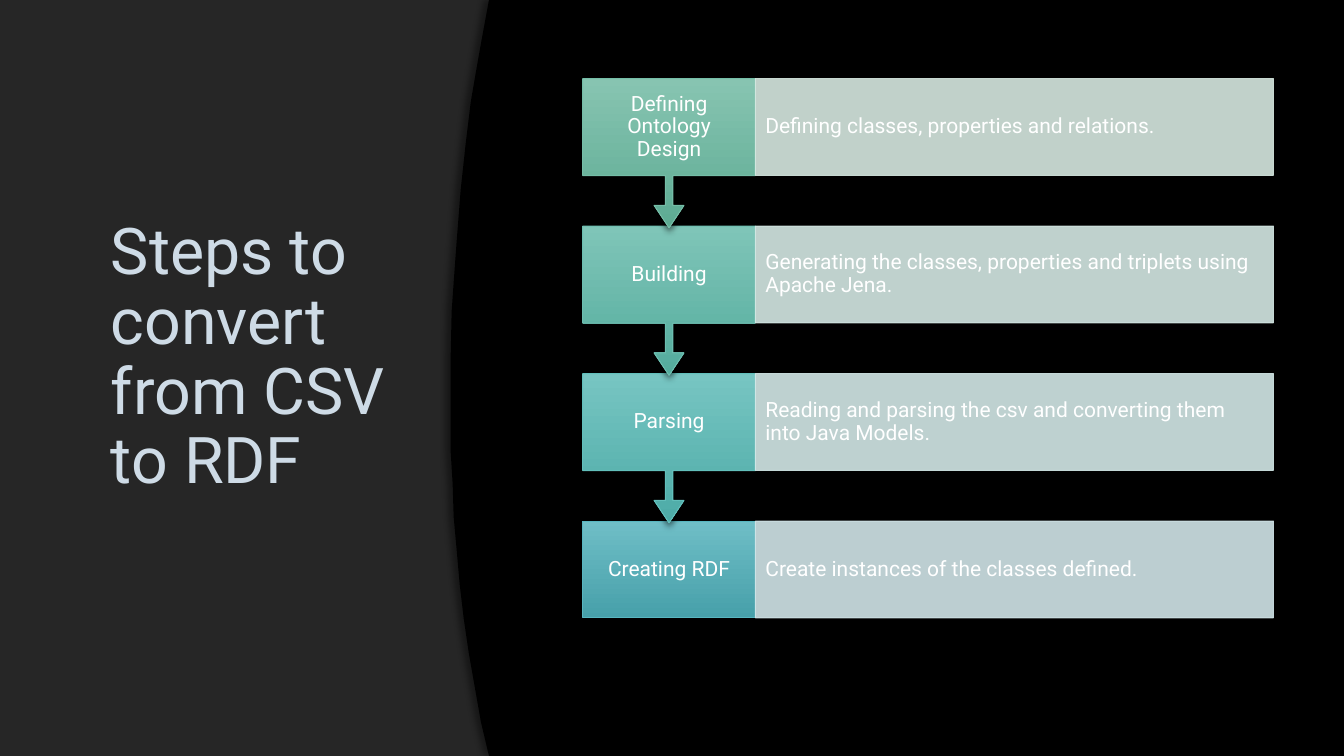
from lxml import etree
from pptx import Presentation
from pptx.dml.color import RGBColor
from pptx.enum import shapes as sh, text as tx
from pptx.oxml import parse_xml
from pptx.oxml.ns import nsdecls, qn
from pptx.util import Inches, Pt

FONT = "Roboto"
BLACK = RGBColor(0x00, 0x00, 0x00)
WHITE = RGBColor(0xFF, 0xFF, 0xFF)
CHARCOAL = RGBColor(0x26, 0x26, 0x26)
PALE_BLUE = RGBColor(0xCE, 0xDB, 0xE6)

# label, description, then gradient top, gradient bottom, outline and panel colours
STEPS = [
    ("Defining Ontology Design", "Defining classes, properties and relations.",
     RGBColor(0x87, 0xC4, 0xB1), RGBColor(0x5D, 0xAB, 0x93),
     RGBColor(0x75, 0xBD, 0xA7), RGBColor(0xD6, 0xE8, 0xE1)),
    ("Building", "Generating the classes, properties and triplets using Apache Jena.",
     RGBColor(0x7F, 0xC5, 0xB8), RGBColor(0x54, 0xAC, 0x9D),
     RGBColor(0x6C, 0xBE, 0xB0), RGBColor(0xD4, 0xE8, 0xE4)),
    ("Parsing", "Reading and parsing the csv and converting them into Java Models.",
     RGBColor(0x77, 0xC5, 0xC2), RGBColor(0x4D, 0xAB, 0xA7),
     RGBColor(0x62, 0xBF, 0xBB), RGBColor(0xD3, 0xE8, 0xE7)),
    ("Creating RDF", "Create instances of the classes defined.",
     RGBColor(0x6F, 0xBE, 0xC6), RGBColor(0x47, 0xA0, 0xAA),
     RGBColor(0x58, 0xB6, 0xC0), RGBColor(0xD1, 0xE5, 0xE8)),
]

# Curved left edge of the black area, from bottom to top
CURVE = [(4.85, 7.5), (4.77, 7.16), (4.71, 6.82), (4.65, 6.48), (4.6, 6.14),
         (4.56, 5.8), (4.53, 5.46), (4.5, 5.13), (4.49, 4.8), (4.47, 4.48),
         (4.47, 4), (4.47, 3.54), (4.48, 3.09), (4.5, 2.8), (4.53, 2.39),
         (4.57, 1.88), (4.62, 1.42), (4.67, 1.01), (4.73, 0.66),
         (4.78, 0.38), (4.85, 0)]


def effects(alpha, blur, distance, angle):
    """Return an effect list holding one black outer shadow (percent, points, degrees)."""
    return parse_xml(
        f'<a:effectLst {nsdecls("a")}><a:outerShdw blurRad="{Pt(blur)}" dist="{Pt(distance)}" '
        f'dir="{angle * 60000}" algn="ctr" rotWithShape="0"><a:srgbClr val="000000">'
        f'<a:alpha val="{alpha * 1000}"/></a:srgbClr></a:outerShdw></a:effectLst>')


def set_shadow(shape, *shadow):
    shape.shadow.inherit = False
    properties = shape._element.spPr
    properties.replace(properties.find(qn("a:effectLst")), effects(*shadow))


def set_text(shape, words, align, inset_x, inset_y):
    frame = shape.text_frame
    frame.word_wrap = True
    frame.vertical_anchor = tx.MSO_ANCHOR.MIDDLE
    frame.margin_left = frame.margin_right = Inches(inset_x)
    frame.margin_top = frame.margin_bottom = Inches(inset_y)
    frame.text = words
    paragraph = frame.paragraphs[0]
    paragraph.alignment = align
    paragraph.line_spacing = 0.9
    paragraph.font.name = FONT
    paragraph.font.size = Pt(15)
    paragraph.font.color.rgb = WHITE


def add_backdrop(slide, width, height):
    slide.background.fill.solid()
    slide.background.fill.fore_color.rgb = BLACK
    base = slide.shapes.add_shape(sh.MSO_SHAPE.RECTANGLE, 0, 0, Inches(width), Inches(height))
    base.fill.solid()
    base.fill.fore_color.rgb = CHARCOAL
    base.line.fill.background()
    base.shadow.inherit = False
    slide.shapes._spTree.insert(2, base._element)  # behind the title

    outline = slide.shapes.build_freeform(Inches(width), 0, scale=1.0)
    outline.add_line_segments([(Inches(x), Inches(y)) for x, y in [(width, height)] + CURVE])
    curved_area = outline.convert_to_shape()
    curved_area.fill.solid()
    curved_area.fill.fore_color.rgb = BLACK
    curved_area.line.fill.background()
    set_shadow(curved_area, 40, 4, 3, 180)


def add_title(slide, words, left, top, width, height):
    title = slide.shapes.title
    title.left, title.top = Inches(left), Inches(top)
    title.width, title.height = Inches(width), Inches(height)
    frame = title.text_frame
    frame.text = words
    frame.word_wrap = True
    frame.auto_size = tx.MSO_AUTO_SIZE.NONE
    frame.vertical_anchor = tx.MSO_ANCHOR.MIDDLE
    paragraph = frame.paragraphs[0]
    paragraph.alignment = tx.PP_ALIGN.LEFT
    paragraph.line_spacing = 0.9
    paragraph.font.name = FONT
    paragraph.font.size = Pt(46)
    paragraph.font.color.rgb = PALE_BLUE
    run_properties = paragraph.runs[0]._r.get_or_add_rPr()
    run_properties.append(parse_xml(
        f'<a:ln {nsdecls("a")} w="{Pt(0.75)}"><a:solidFill><a:srgbClr val="404040">'
        '<a:alpha val="10000"/></a:srgbClr></a:solidFill></a:ln>'))
    run_properties.append(effects(60, 3, 2, 45))


def add_label(slide, step, left, top, width, box_height, arrow_height):
    """Add the gradient box of a step; arrow_height 0 leaves a plain rectangle."""
    label, _, light, dark, edge, _ = step
    kind = sh.MSO_SHAPE.DOWN_ARROW_CALLOUT if arrow_height else sh.MSO_SHAPE.RECTANGLE
    box = slide.shapes.add_shape(kind, Inches(left), Inches(top), Inches(width),
                                 Inches(box_height + arrow_height))
    if arrow_height:
        for index, value in enumerate((0.05, 0.1, 0.15, 0.65)):
            box.adjustments[index] = value
    box.fill.gradient()
    box.fill.gradient_angle = 270
    for stop, colour in zip(box.fill.gradient_stops, (light, dark)):
        stop.color.rgb = colour
    box.line.color.rgb = edge
    box.line.width = Pt(0.75)
    set_shadow(box, 60, 5, 2, 90)
    set_text(box, label, tx.PP_ALIGN.CENTER, 0.12, 0.12)


def add_description(slide, step, left, top, width, height):
    panel = slide.shapes.add_shape(sh.MSO_SHAPE.RECTANGLE, Inches(left), Inches(top),
                                   Inches(width), Inches(height))
    panel.fill.solid()
    panel.fill.fore_color.rgb = panel.line.color.rgb = step[-1]
    panel.line.width = Pt(0.75)
    panel.shadow.inherit = False
    for colour in panel._element.spPr.iter(qn("a:srgbClr")):
        etree.SubElement(colour, qn("a:alpha"), val="90000")
    set_text(panel, step[1], tx.PP_ALIGN.LEFT, 0.1, 0.21)


def add_steps(slide, left, top, width, height):
    """Stack the steps from the last up, so each arrow overlaps the box below it."""
    row_height, arrow_height = 0.96, 0.52
    label_width = width / 4
    pitch = (height - row_height) / (len(STEPS) - 1)
    last = len(STEPS) - 1
    for row, step in reversed(list(enumerate(STEPS))):
        row_top = top + row * pitch
        add_label(slide, step, left, row_top, label_width, row_height,
                  arrow_height if row < last else 0)
        add_description(slide, step, left + label_width, row_top,
                        width - label_width, row_height)


def main():
    deck = Presentation()
    deck.slide_width, deck.slide_height = Inches(13.33), Inches(7.5)
    slide = deck.slides.add_slide(deck.slide_layouts[5])
    add_backdrop(slide, 13.33, 7.5)
    add_title(slide, "Steps to convert from CSV to RDF", 1, 0.67, 3.06, 5.77)
    add_steps(slide, 5.78, 0.78, 6.85, 5.35)
    deck.save("out.pptx")


if __name__ == "__main__":
    main()
